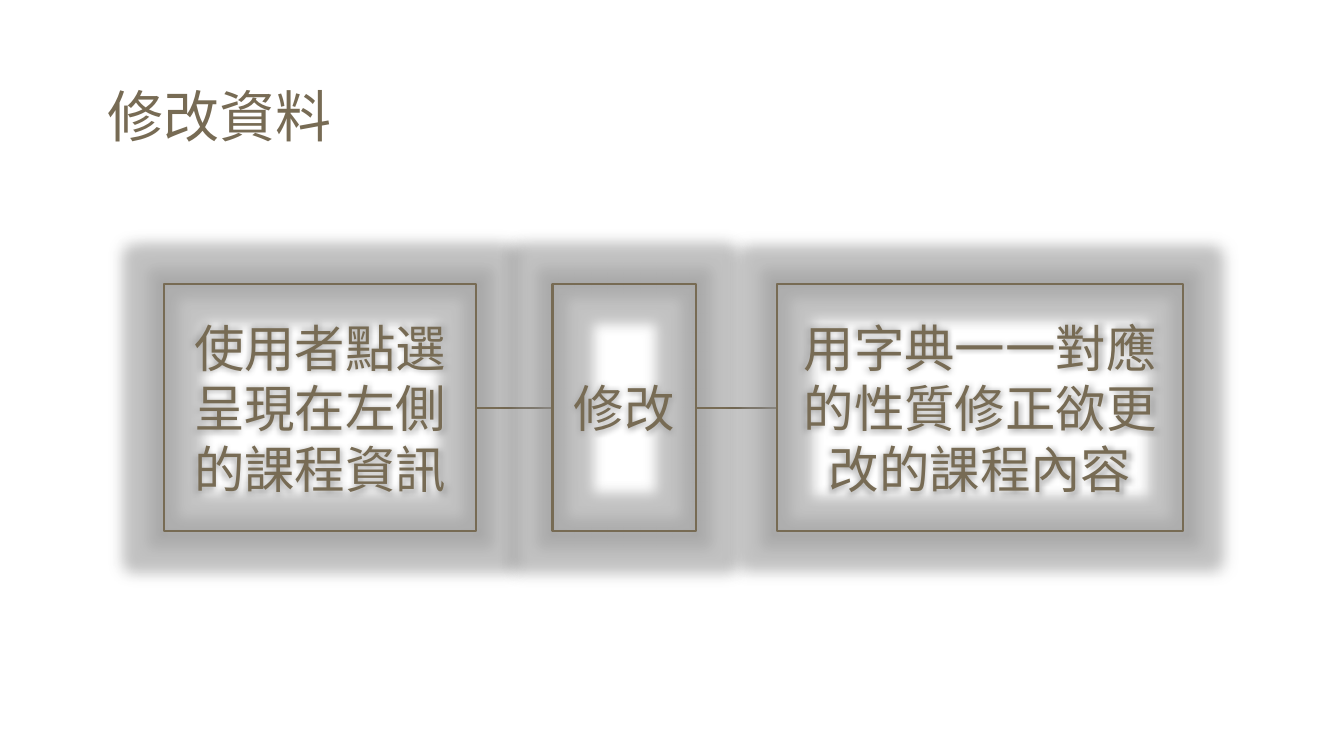
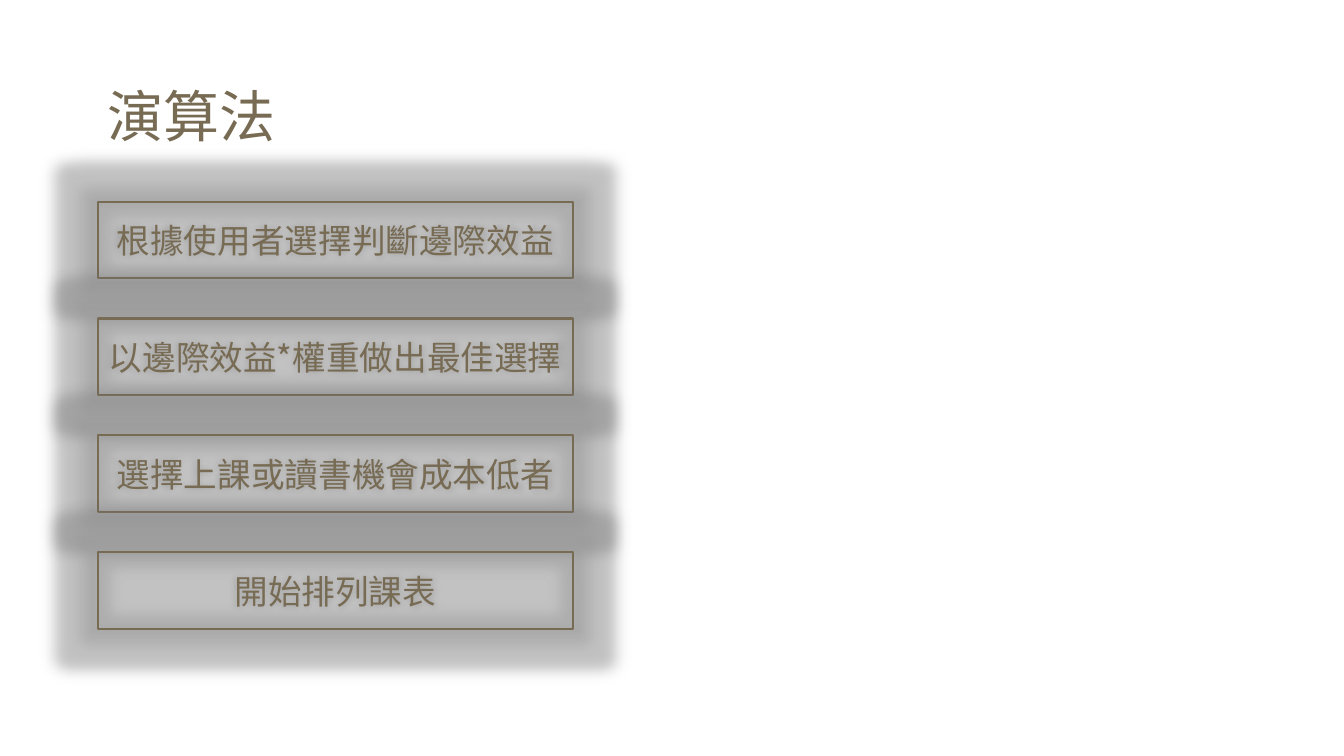
from lxml import etree
from pptx import Presentation
from pptx.dml.color import RGBColor
from pptx.enum.shapes import MSO_CONNECTOR as LINE, MSO_SHAPE as SHAPE
from pptx.enum.text import MSO_ANCHOR as ANCHOR, PP_ALIGN as ALIGN
from pptx.oxml import parse_xml
from pptx.oxml.ns import nsdecls, qn
from pptx.util import Inches, Pt

FONT = "Noto Sans CJK SC"
BROWN = "776B54"
LINE_WIDTH = Pt(1.5)

# Grey halo and soft shadow shared by all boxes
EFFECTS = (
    f'<a:glow {nsdecls("a")} rad="228600"><a:srgbClr val="A5A5A5">'
    '<a:alpha val="40000"/></a:srgbClr></a:glow>',
    f'<a:outerShdw {nsdecls("a")} blurRad="63500" sx="102000" sy="102000" '
    'algn="ctr" rotWithShape="0"><a:srgbClr val="000000">'
    '<a:alpha val="40000"/></a:srgbClr></a:outerShdw>',
)


def color(value):
    return RGBColor.from_string(value)


def add_text(page, text, left, top, width, height, size=40, framed=False):
    """Add a plain title, or centred text in a glowing frame."""
    area = [Inches(length) for length in (left, top, width, height)]
    if framed:
        box = page.shapes.add_shape(SHAPE.RECTANGLE, *area)
        box.fill.background()
        box.line.color.rgb = color(BROWN)
        box.line.width = LINE_WIDTH
        box.shadow.inherit = False
        effect_list = box._element.spPr.find(qn("a:effectLst"))
        for effect in EFFECTS:
            effect_list.append(parse_xml(effect))
    else:
        box = page.shapes.add_textbox(*area)
    frame = box.text_frame
    frame.word_wrap = True
    frame.vertical_anchor = ANCHOR.MIDDLE if framed else ANCHOR.TOP
    para = frame.paragraphs[0]
    para.alignment = ALIGN.CENTER if framed else ALIGN.LEFT
    para.line_spacing = Pt(size * 1.2)
    span = para.add_run()
    span.text = text
    span.font.size = Pt(size)
    span.font.name = FONT
    span.font.color.rgb = color(BROWN)
    east_asian = etree.SubElement(span.font._element, qn("a:ea"))
    east_asian.set("typeface", FONT)
    return box


deck = Presentation()
deck.slide_width = Inches(13.33)
deck.slide_height = Inches(7.5)

# Pages with their titles
pages = []
for title in ("修改資料", "演算法"):
    page = deck.slides.add_slide(deck.slide_layouts[6])
    add_text(page, title, 0.97, 0.76, 2.47, 0.77)
    pages.append(page)
edit_page, algorithm_page = pages

# Editing flow: each step is joined to the one before
steps = (
    ("使用者點選呈現在左側的課程資訊", 1.63, 3.09),
    ("修改", 5.48, 1.42),
    ("用字典一一對應的性質修正欲更改的課程內容", 7.71, 4.02),
)
previous = None
for text, left, width in steps:
    if previous is not None:
        link = edit_page.shapes.add_connector(LINE.STRAIGHT, 0, 0, 0, 0)
        link.line.color.rgb = color(BROWN)
        link.line.width = LINE_WIDTH
        etree.SubElement(link._element.spPr, qn("a:effectLst"))
        link.begin_connect(previous, 3)
    box = add_text(edit_page, text, left, 2.82, width, 2.45, size=36, framed=True)
    if previous is not None:
        link.end_connect(box, 1)
    previous = box

# Algorithm: evenly spaced rows
rows = (
    "根據使用者選擇判斷邊際效益",
    "以邊際效益*權重做出最佳選擇",
    "選擇上課或讀書機會成本低者",
    "開始排列課表",
)
for index, text in enumerate(rows):
    add_text(algorithm_page, text, 0.97, 2 + 1.16 * index, 4.71, 0.76,
             size=24, framed=True)

deck.save("out.pptx")
